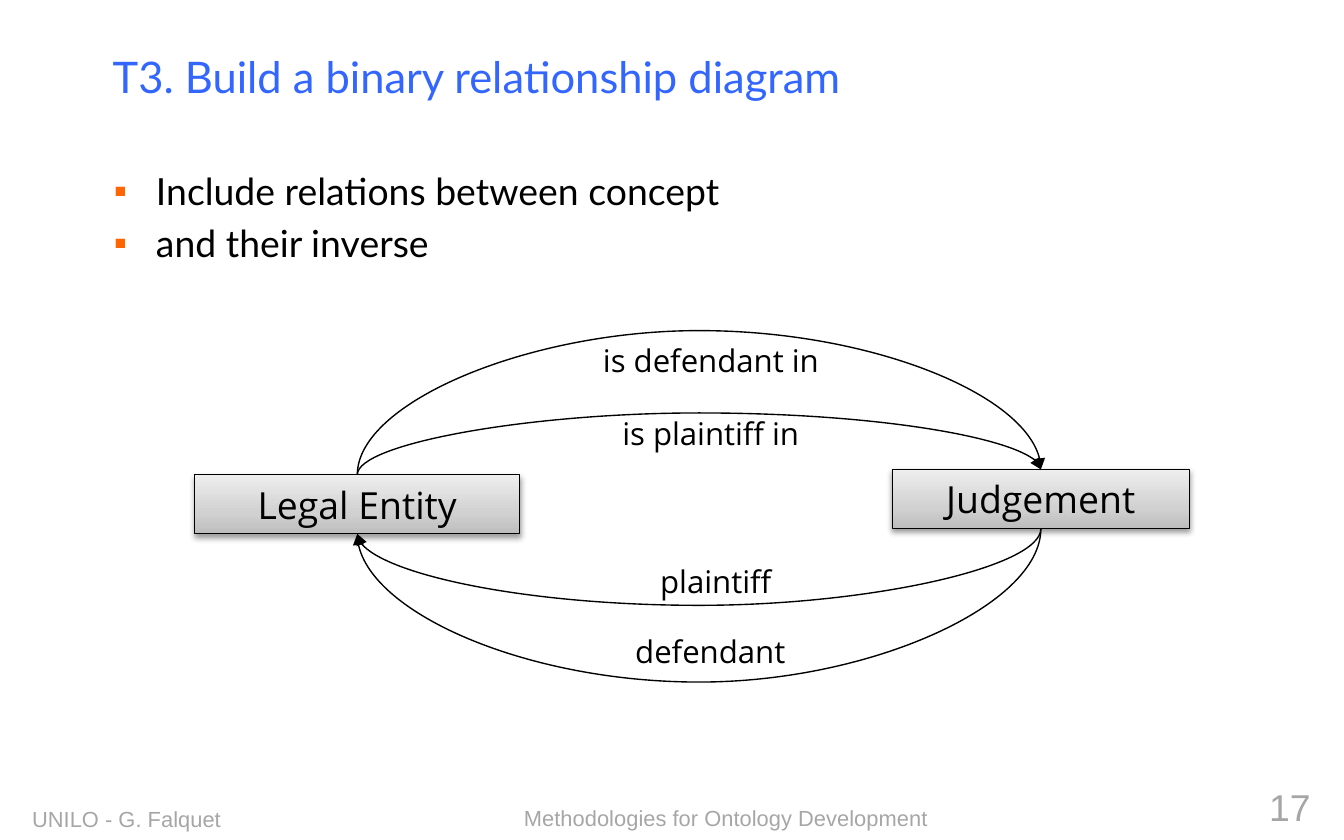
"""Build a slide with a binary relationship diagram of two concepts."""
import copy
from lxml import etree
from pptx import Presentation
from pptx import util as u
from pptx.dml import color
from pptx.enum import shapes, text
from pptx.oxml import ns

Pt = u.Pt
C = {"title": "3366FF", "bullet": "FF6600", "ink": "000000", "footer": "A6A6A6",
     "dark": "BDBDBD", "mid": "D1D1D1", "light": "EEEEEE"}
LEFT, CENTER, RIGHT = text.PP_ALIGN.LEFT, text.PP_ALIGN.CENTER, text.PP_ALIGN.RIGHT


def sub(parent, tag, **attrs):
    return etree.SubElement(parent, ns.qn(tag), attrs)


def write(sp, lines, size, font, ink, align=LEFT, anchor=text.MSO_ANCHOR.MIDDLE, wrap=True):
    tf = sp.text_frame
    tf.word_wrap = wrap
    tf.vertical_anchor = anchor
    tf.margin_top = tf.margin_bottom = Pt(2)
    for i, line in enumerate(lines):
        p = tf.paragraphs[0] if i == 0 else tf.add_paragraph()
        p.alignment = align
        r = p.add_run()
        r.text = line
        r.font.size = Pt(size)
        r.font.name = font
        r.font.color.rgb = color.RGBColor.from_string(C[ink])
    return tf


prs = Presentation()
prs.slide_width, prs.slide_height = Pt(720), Pt(450)
s = prs.slides.add_slide(prs.slide_layouts[6])

title = s.shapes.add_textbox(Pt(53.3), Pt(8.6), Pt(625.7), Pt(64.8))
write(title, ["T3. Build a binary relationship diagram"], 23.3, "Lato", "title")

body = s.shapes.add_textbox(Pt(54), Pt(86.4), Pt(612), Pt(98))
tf = write(body, ["Include relations between concept", "and their inverse"],
           20, "Lato", "ink", anchor=text.MSO_ANCHOR.TOP)
tf.margin_top = Pt(3.6)
for p in tf.paragraphs:
    p.space_before = Pt(4)
    pPr = p._p.get_or_add_pPr()
    pPr.set("marL", str(Pt(22.5)))
    pPr.set("indent", str(-Pt(22.5)))
    sub(sub(pPr, "a:buClr"), "a:srgbClr", val=C["bullet"])
    sub(pPr, "a:buFont", typeface="Arial")
    sub(pPr, "a:buChar", char="▪")

for line, x, y, w, h, size, align in [
        ("Methodologies for Ontology Development", 273.6, 427, 275.8, 22.6, 11.7, LEFT),
        ("UNILO - G. Falquet", 10.1, 427.7, 228.2, 22.3, 11.7, LEFT),
        ("17", 559.4, 416.9, 149.8, 30.2, 20, RIGHT)]:
    write(s.shapes.add_textbox(Pt(x), Pt(y), Pt(w), Pt(h)), [line], size, "Arial", "footer", align)

boxes = {}
for name, x, y, w in [("Judgement", 478, 251.5, 159.2), ("Legal Entity", 104.3, 254.3, 174.2)]:
    sp = s.shapes.add_shape(shapes.MSO_SHAPE.RECTANGLE, Pt(x), Pt(y), Pt(w), Pt(31.7))
    sp.fill.gradient()
    sp.fill.gradient_angle = 90
    stops = sp._element.spPr.find(".//" + ns.qn("a:gsLst"))
    stops.append(copy.deepcopy(stops[-1]))
    for stop, pos, key in zip(sp.fill.gradient_stops, (0, 0.35, 1), ("dark", "mid", "light")):
        stop.position = pos
        stop.color.rgb = color.RGBColor.from_string(C[key])
    sp.line.color.rgb = color.RGBColor.from_string(C["ink"])
    sp.line.width = Pt(0.75)
    sp.shadow.inherit = False
    shadow = sub(sp._element.spPr.find(ns.qn("a:effectLst")), "a:outerShdw", blurRad=str(Pt(3.1)),
                 dist=str(Pt(1.6)), dir="5400000", rotWithShape="0")
    sub(sub(shadow, "a:srgbClr", val=C["ink"]), "a:alpha", val="38000")
    write(sp, [name], 20, "Open Sans", "ink", CENTER)
    boxes[name] = sp

for start, end, site, bulge in [
        ("Judgement", "Legal Entity", 2, 41), ("Judgement", "Legal Entity", 2, 82),
        ("Legal Entity", "Judgement", 0, 33), ("Legal Entity", "Judgement", 0, 77)]:
    line = s.shapes.add_connector(shapes.MSO_CONNECTOR.CURVE, 0, 0, 0, 0)
    line.begin_connect(boxes[start], site)
    line.end_connect(boxes[end], site)
    (x1, y1), (x2, y2) = [(b.left + b.width // 2, b.top + (b.height if site == 2 else 0))
                          for b in (boxes[start], boxes[end])]
    cx, cy, dx, dy = (x1 + x2) // 2, (y1 + y2) // 2, (x2 - x1) // 2, (y2 - y1) // 2
    line.begin_x, line.begin_y = cx - dy, cy + dx
    line.end_x, line.end_y = cx + dy, cy - dx
    spPr = line._element.spPr
    spPr.find(ns.qn("a:xfrm")).set("rot", "5400000")
    guides = spPr.find(ns.qn("a:prstGeom")).find(ns.qn("a:avLst"))
    ratio = round(Pt(bulge) / abs(y2 - y1) * 100000)
    sub(guides, "a:gd", name="adj1", fmla=f"val {ratio}")
    line.line.color.rgb = color.RGBColor.from_string(C["ink"])
    line.line.width = Pt(0.75)
    sub(spPr.find(ns.qn("a:ln")), "a:tailEnd", type="triangle")
    sub(spPr, "a:effectLst")

for label, x, y, w in [("is defendant in", 312.5, 179.3, 136.8), ("is plaintiff in", 321.8, 218.2, 118),
                       ("plaintiff", 344.2, 297.4, 78.5), ("defendant", 331.9, 334.8, 97.2)]:
    sp = s.shapes.add_textbox(Pt(x), Pt(y), Pt(w), Pt(27.4))
    write(sp, [label], 16.7, "Open Sans", "ink", CENTER, wrap=False)

prs.save("out.pptx")
